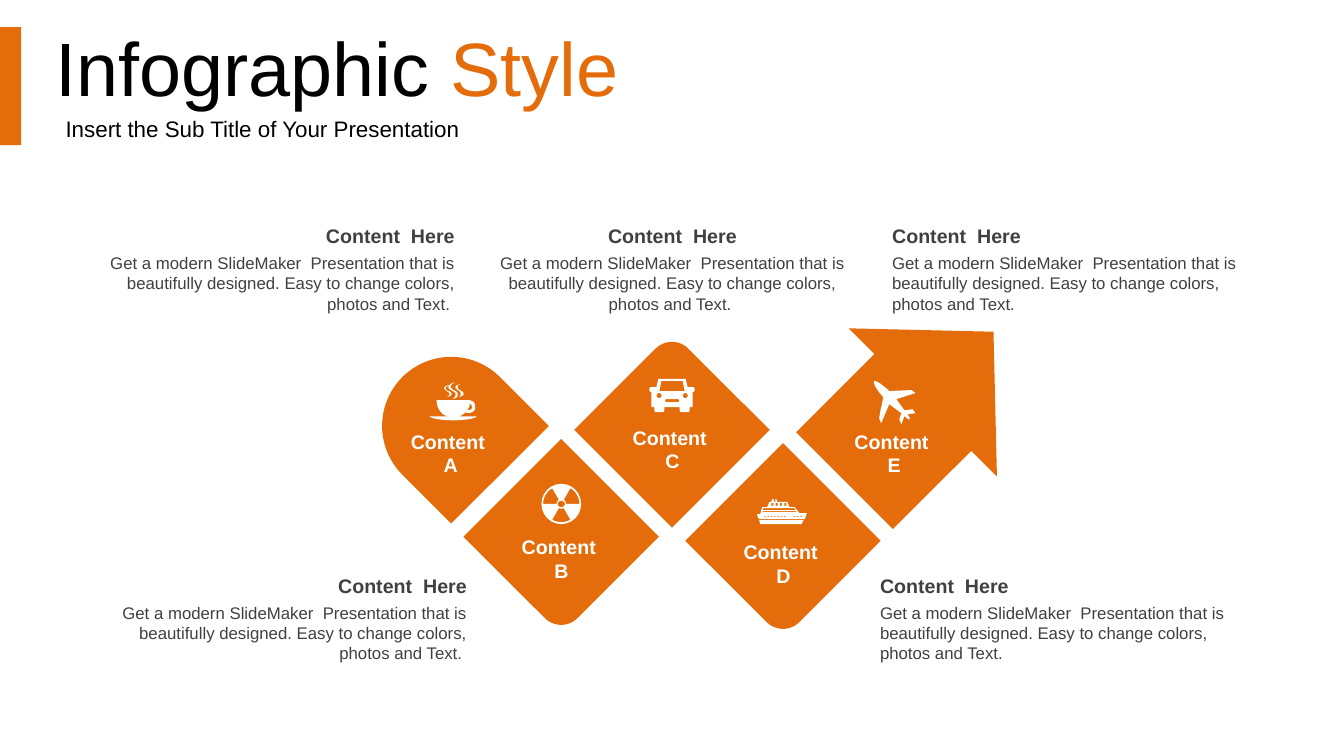
from math import cos, radians, sin

from pptx import Presentation
from pptx.dml.color import RGBColor
from pptx.enum.shapes import MSO_SHAPE
from pptx.enum.text import MSO_ANCHOR, PP_ALIGN
from pptx.util import Inches, Pt

RECT = MSO_SHAPE.RECTANGLE
ROUND_ONE = MSO_SHAPE.ROUND_1_RECTANGLE
ROUND_TOP = MSO_SHAPE.ROUND_2_SAME_RECTANGLE
ARROW = MSO_SHAPE.RIGHT_ARROW
TOP, MIDDLE = MSO_ANCHOR.TOP, MSO_ANCHOR.MIDDLE
LEFT, CENTER, RIGHT = PP_ALIGN.LEFT, PP_ALIGN.CENTER, PP_ALIGN.RIGHT

COLORS = {"orange": "E46C0A", "black": "000000", "gray": "404040", "white": "FFFFFF"}
FONT = "Arial"
BODY = ("Get a modern SlideMaker  Presentation that is beautifully designed. "
        "Easy to change colors, photos and Text.")


def color(name):
    return RGBColor.from_string(COLORS[name])


def arc(cx, cy, rx, ry, start=0, end=360):
    angles = [radians(start + (end - start) * i / 24) for i in range(25)]
    return [(cx + rx * cos(a), cy + ry * sin(a)) for a in angles]


def box(x, y, w, h):
    return [(x, y), (x + w, y), (x + w, y + h), (x, y + h)]


def outline(start, *segments):
    points = [start]
    for seg in segments:
        if len(seg) == 2:
            points.append(seg)
            continue
        x0, y0 = points[-1]
        x1, y1, x2, y2, x3, y3 = seg
        for i in range(1, 7):
            t = i / 6
            a, b, c, d = (1 - t) ** 3, 3 * t * (1 - t) ** 2, 3 * t * t * (1 - t), t ** 3
            points.append((a * x0 + b * x1 + c * x2 + d * x3,
                           a * y0 + b * y1 + c * y2 + d * y3))
    return points


class Deck:
    def __init__(self):
        self.prs = Presentation()
        self.prs.slide_width, self.prs.slide_height = Inches(13.33), Inches(7.5)
        self.s = self.prs.slides.add_slide(self.prs.slide_layouts[6])

    def paint(self, sp, fill):
        sp.shadow.inherit = False
        sp.fill.solid()
        sp.fill.fore_color.rgb = color(fill)
        sp.line.fill.background()

    def shape(self, kind, x, y, w, h, rotation=0, adjust=()):
        sp = self.s.shapes.add_shape(kind, Inches(x), Inches(y), Inches(w), Inches(h))
        sp.rotation = rotation
        for i, value in enumerate(adjust):
            sp.adjustments[i] = value
        self.paint(sp, "orange")

    def text(self, x, y, w, h, runs, size, bold=False, align=LEFT, anchor=MIDDLE,
             inset=(0.1, 0.05), spacing=1.0):
        sp = self.s.shapes.add_textbox(Inches(x), Inches(y), Inches(w), Inches(h))
        tf = sp.text_frame
        tf.word_wrap = True
        tf.vertical_anchor = anchor
        tf.margin_left, tf.margin_top = [Inches(v) for v in inset]
        p = tf.paragraphs[0]
        p.alignment = align
        p.line_spacing = spacing
        for words, shade in runs:
            r = p.add_run()
            r.text = words
            r.font.name, r.font.size, r.font.bold = FONT, Pt(size), bold
            r.font.color.rgb = color(shade)

    def note(self, x, y, w, align):
        body = BODY if align == LEFT else BODY + " "
        self.text(x, y, w, 0.34, [("Content  Here", "gray")], 14, True, align)
        self.text(x, y + 0.29, w, 0.71, [(body, "gray")], 12, align=align, anchor=TOP)

    def icon(self, contours):
        contours = [[(Inches(x / 100), Inches(y / 100)) for x, y in c] for c in contours]
        fb = self.s.shapes.build_freeform(*contours[0][0])
        fb.add_line_segments(contours[0][1:])
        for c in contours[1:]:
            fb.move_to(*c[0])
            fb.add_line_segments(c[1:])
        self.paint(fb.convert_to_shape(), "white")


def cup():
    return [
        outline((466, 400), (466, 403, 465, 405, 464, 406), (464, 407, 466, 407, 466, 407),
                (468, 406, 469, 404, 468, 403), (468, 402, 467, 401, 466, 400)),
        outline((466, 397), (469, 398, 471, 399, 471, 402), (472, 405, 471, 408, 468, 409),
                (466, 410, 463, 410, 462, 409), (461, 410, 459, 411, 458, 412),
                (457, 412, 456, 413, 455, 413), (473, 413), (472, 415, 462, 417, 450, 417),
                (437, 417, 427, 415, 426, 413), (444, 413), (443, 413, 442, 412, 441, 412),
                (436, 409, 433, 403, 433, 397)),
        outline((445, 382), (443, 384, 442, 384, 442, 386), (443, 388, 448, 388, 448, 391),
                (447, 393, 446, 393, 443, 394), (445, 393, 446, 392, 446, 391),
                (446, 389, 442, 388, 441, 386), (440, 385, 441, 383, 445, 382)),
        outline((457, 381), (455, 382, 454, 382, 454, 384), (454, 388, 460, 387, 460, 391),
                (459, 393, 458, 393, 455, 394), (457, 393, 457, 392, 457, 390),
                (457, 388, 453, 387, 452, 385), (451, 383, 453, 382, 457, 381)),
        outline((451, 379), (449, 381, 447, 381, 447, 384), (448, 388, 455, 387, 454, 392),
                (454, 394, 452, 395, 449, 396), (451, 394, 452, 393, 452, 391),
                (452, 388, 447, 388, 445, 385), (444, 383, 446, 381, 451, 379)),
    ]


def radiation():
    cx, cy = 556.7, 500
    gaps = [arc(cx, cy, 18, 18, a, a + 60) + arc(cx, cy, 4.7, 4.7, a + 60, a)
            for a in (60, 180, 300)]
    return [arc(cx, cy, 19.7, 20), arc(cx, cy, 3.6, 3.2)] + gaps


def car():
    half = outline((680, 376), (682, 384), (687, 384), (688, 384, 689, 385, 689, 386),
                   (689, 387), (689, 388, 688, 389, 687, 389), (687, 404), (684, 404),
                   (684, 407), (684, 408, 683, 409, 683, 409), (676, 409),
                   (675, 409, 674, 408, 674, 407), (674, 404))
    body = half + [(1333 - x, y) for x, y in reversed(half)]
    grille = arc(661.2, 397.5, 1.5, 1.5, 90, 270) + arc(672.2, 397.5, 1.5, 1.5, -90, 90)
    glass = [(656, 378), (654, 388), (679, 388), (677, 378)]
    return [body, grille, glass] + [arc(x, 392.5, 2.5, 2.5) for x in (653.7, 679.7)]


def ship():
    hull = outline((769, 495), (770, 495), (771, 498), (781, 498), (783, 503), (788, 503),
                   (793, 509), (800, 509), (800, 511, 799, 513, 798, 515), (753, 515),
                   (752, 514, 751, 512, 751, 510), (754, 510), (756, 503), (761, 503),
                   (763, 498), (765, 498), (766, 495), (767, 495), (768, 498), (769, 498))
    keel = [(753, 516), (797, 516), (795, 520), (754, 520)]
    decks = [[(757, 507), (756, 508), (791, 508), (789, 507)],
             [(757, 504), (757, 506), (789, 506), (788, 504)]]
    portholes = [box(758 + 3.25 * i, 512, 1.5, 1) for i in range(12) if i not in (7, 8)]
    windows = [box(765 + 4.3 * i, 499, 2, 3) for i in range(4)]
    return [hull, keel] + decks + portholes + windows


def plane():
    return [outline((908, 410), (900, 411), (901, 412, 903, 415, 902, 416),
                    (901, 417, 899, 414, 897, 413), (894, 421), (892, 416), (894, 410),
                    (882, 401), (874, 420), (872, 415), (873, 407, 875, 401, 876, 394),
                    (872, 390, 865, 380, 867, 378), (869, 377, 878, 384, 882, 388),
                    (904, 387), (908, 390), (889, 396), (897, 407),
                    (899, 407, 905, 406, 905, 406))]


def main():
    deck = Deck()
    deck.shape(RECT, 0, 0.27, 0.21, 1.17)
    deck.text(0.45, 0.29, 12.55, 0.79, [("Infographic ", "black"), ("Style", "orange")],
              54, inset=(0.1, 0.1), spacing=0.9)
    deck.text(0.45, 1.08, 12.55, 0.38,
              [("Insert the Sub Title of Your Presentation", "black")],
              16, inset=(0.2, 0.1), spacing=0.9)

    deck.shape(ROUND_TOP, 3.79, 3.54, 1.37, 1.37, 315, (0.5, 0))
    for i, (y, rotation) in enumerate([(4.64, 135), (3.58, 315), (4.68, 135)]):
        deck.shape(ROUND_ONE, 4.88 + 1.1 * i, y, 1.37, 1.37, rotation)
    deck.shape(ARROW, 8.07, 2.99, 2.09, 2.08, 315, (0.653, 0.477))

    for x, y, w, align in [(8.63, 5.64, 3.73, LEFT), (0.79, 5.64, 3.94, RIGHT),
                           (0.78, 2.17, 3.83, RIGHT), (4.78, 2.17, 3.78, CENTER),
                           (8.75, 2.17, 3.73, LEFT)]:
        deck.note(x, y, w, align)

    steps = zip("ABCDE", (4.21, 5.26, 4.17, 5.31, 4.21), (cup, radiation, car, ship, plane))
    for i, (letter, y, draw) in enumerate(steps):
        deck.text(3.97 + 1.1 * i, y, 1, 0.57, [("Content  " + letter, "white")],
                  14, True, CENTER)
        deck.icon(draw())
    deck.prs.save("out.pptx")


if __name__ == "__main__":
    main()
